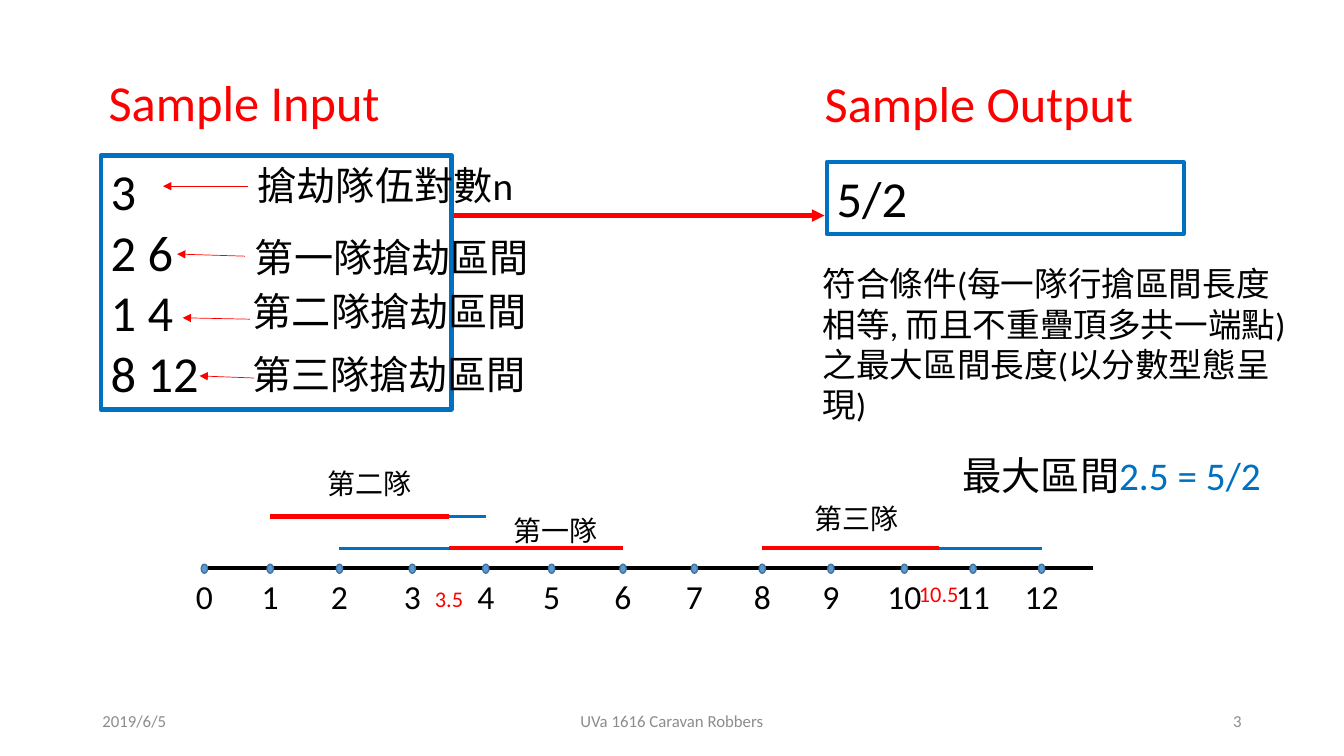
from lxml.etree import SubElement
from pptx import Presentation
from pptx.dml.color import RGBColor
from pptx.enum.shapes import MSO_CONNECTOR as Connector, MSO_SHAPE as Shape
from pptx.enum.text import MSO_ANCHOR as Anchor, PP_ALIGN as Align
from pptx.oxml.ns import qn
from pptx.util import Pt

COLORS = {"black": "000000", "red": "FF0000", "blue": "0070C0",
          "gray": "8C8C8C", "dot": "5B9BD5", "dot_edge": "43739E"}
LATIN, CHINESE = "Calibri", "Noto Sans CJK SC"


def rgb(name):
    """Return the named colour of the palette."""
    return RGBColor.from_string(COLORS[name])


def write(frame, lines, size=24, color="black", align=Align.LEFT, anchor=Anchor.TOP, wrap=True):
    """Fill a text frame; a line is a string or a list of (text, colour) runs."""
    frame.word_wrap = wrap
    frame.vertical_anchor = anchor
    for index, line in enumerate(lines):
        paragraph = frame.add_paragraph() if index else frame.paragraphs[0]
        paragraph.alignment = align
        for text, tint in [(line, color)] if isinstance(line, str) else line:
            run = paragraph.add_run()
            run.text = text
            run.font.size = Pt(size)
            run.font.name = LATIN
            run.font.color.rgb = rgb(tint)
            SubElement(run.font._element, qn("a:ea"), typeface=CHINESE)


def add_text(slide, box, *lines, **style):
    """Place text in a box of (left, top, width, height) points."""
    write(slide.shapes.add_textbox(*map(Pt, box)).text_frame, lines, **style)


def add_outline(slide, kind, box, edge, width, fill=None):
    """Place a flat shape with an outline and an optional fill."""
    outline = slide.shapes.add_shape(kind, *map(Pt, box))
    outline.shadow.inherit = False
    outline.line.color.rgb = rgb(edge)
    outline.line.width = Pt(width)
    if fill:
        outline.fill.solid()
        outline.fill.fore_color.rgb = rgb(fill)
    else:
        outline.fill.background()
    return outline


def add_line(slide, start, end, color, width, arrow=False):
    """Draw a straight line between two points, with an optional arrowhead."""
    line = slide.shapes.add_connector(Connector.STRAIGHT, *map(Pt, (*start, *end)))
    line.line.color.rgb = rgb(color)
    line.line.width = Pt(width)
    if arrow:
        SubElement(line.line._get_or_add_ln(), qn("a:tailEnd"), type="triangle")
    SubElement(line._element.spPr, qn("a:effectLst"))


def add_sample_input(slide, box):
    """Draw the framed input with an explained arrow for each line."""
    left, top, _, _ = box
    add_text(slide, (left - 1.5, top - 64, 283, 51), "Sample Input", size=36, color="red")
    frame = add_outline(slide, Shape.RECTANGLE, box, "blue", 3)
    write(frame.text_frame, ["3", "2 6", "1 4", "8 12"], size=36)
    notes = [("搶劫隊伍對數n", (105, 1), (105, 22), (44.5, 22)),
             ("第一隊搶劫區間", (103, 52), (103, 72), (54.5, 70.5)),
             ("第二隊搶劫區間", (101.5, 91), (106.5, 117), (58.5, 116)),
             ("第三隊搶劫區間", (101, 136), (109.5, 159), (70.5, 157.5))]
    for note, (x, y), tail, head in notes:
        add_text(slide, (left + x, top + y, 221, 41), note, size=28)
        start, end = [(left + dx, top + dy) for dx, dy in (tail, head)]
        add_line(slide, start, end, "red", 0.5, arrow=True)


def add_sample_output(slide, box):
    """Draw the framed output with its explanation below."""
    left, top, _, height = box
    add_text(slide, (left - 8.5, top - 68, 283, 51), "Sample Output", size=36, color="red")
    frame = add_outline(slide, Shape.RECTANGLE, box, "blue", 3)
    write(frame.text_frame, ["5/2"], size=36)
    add_text(slide, (left - 10, top + height + 17.5, 345, 124),
             "符合條件(每一隊行搶區間長度相等, 而且不重疊頂多共一端點)之最大區間長度(以分數型態呈現)")


def add_number_line(slide, box):
    """Draw the axis from 0 to 12 with the interval of each team."""
    left, top, width, height = box
    axis = top + height
    ticks = [2, 49, 98.5, 150.5, 203, 250, 301, 352, 400.5, 449.5, 502, 551, 600]

    def x_at(value):
        """Return the horizontal place of a value, between ticks if needed."""
        low = int(value)
        high = min(low + 1, len(ticks) - 1)
        return left + ticks[low] + (value - low) * (ticks[high] - ticks[low])

    add_line(slide, (left, axis), (left + width, axis), "black", 3)
    for value in range(len(ticks)):
        x = x_at(value)
        add_outline(slide, Shape.OVAL, (x - 2.25, axis - 3, 4.5, 6.5), "dot_edge", 1, "dot")
        add_text(slide, (x - 21, axis + 1.5, 42, 36), str(value), align=Align.CENTER, wrap=False)
    for value, y in ((3.5, 8.5), (10.5, 5)):
        add_text(slide, (x_at(value) - 24, axis + y, 48, 27), str(value),
                 size=16, color="red", align=Align.CENTER, wrap=False)

    teams = [("第二隊", (1, 4), (1, 3.5), 37, (83, 76)),
             ("第一隊", (2, 6), (3.5, 6), 14.5, (216, 43)),
             ("第三隊", (8, 12), (8, 10.5), 14.5, (431, 51))]
    for team, whole, chosen, rise, (x, lift) in teams:
        for (start, end), color, weight in ((whole, "blue", 2.25), (chosen, "red", 3)):
            add_line(slide, (x_at(start), axis - rise), (x_at(end), axis - rise), color, weight)
        add_text(slide, (left + x, axis - lift, 82, 32), team, size=20)
    add_text(slide, (left + 536.5, top, 230, 41),
             [("最大區間", "black"), ("2.5 = 5/2", "blue")], size=28)


def add_footer(slide, box):
    """Write the date, the title and the page number in one row."""
    left, top, width, height = box
    parts = [("2019/6/5", 0, 216, Align.LEFT),
             ("UVa 1616 Caravan Robbers", (width - 324) / 2, 324, Align.CENTER),
             ("3", width - 216, 216, Align.RIGHT)]
    for text, x, span, align in parts:
        add_text(slide, (left + x, top, span, height), text,
                 size=12, color="gray", align=align, anchor=Anchor.MIDDLE)


def main():
    """Build the slide and save it."""
    deck = Presentation()
    deck.slide_width, deck.slide_height = Pt(960), Pt(540)
    slide = deck.slides.add_slide(deck.slide_layouts[6])
    add_footer(slide, (66, 500.5, 828, 28.75))
    add_sample_input(slide, (72, 111, 250.5, 181.5))
    add_sample_output(slide, (590.5, 116, 255, 51))
    add_line(slide, (324, 154), (589, 154), "red", 3, arrow=True)
    add_number_line(slide, (144, 319, 636.5, 87))
    deck.save("out.pptx")


if __name__ == "__main__":
    main()
